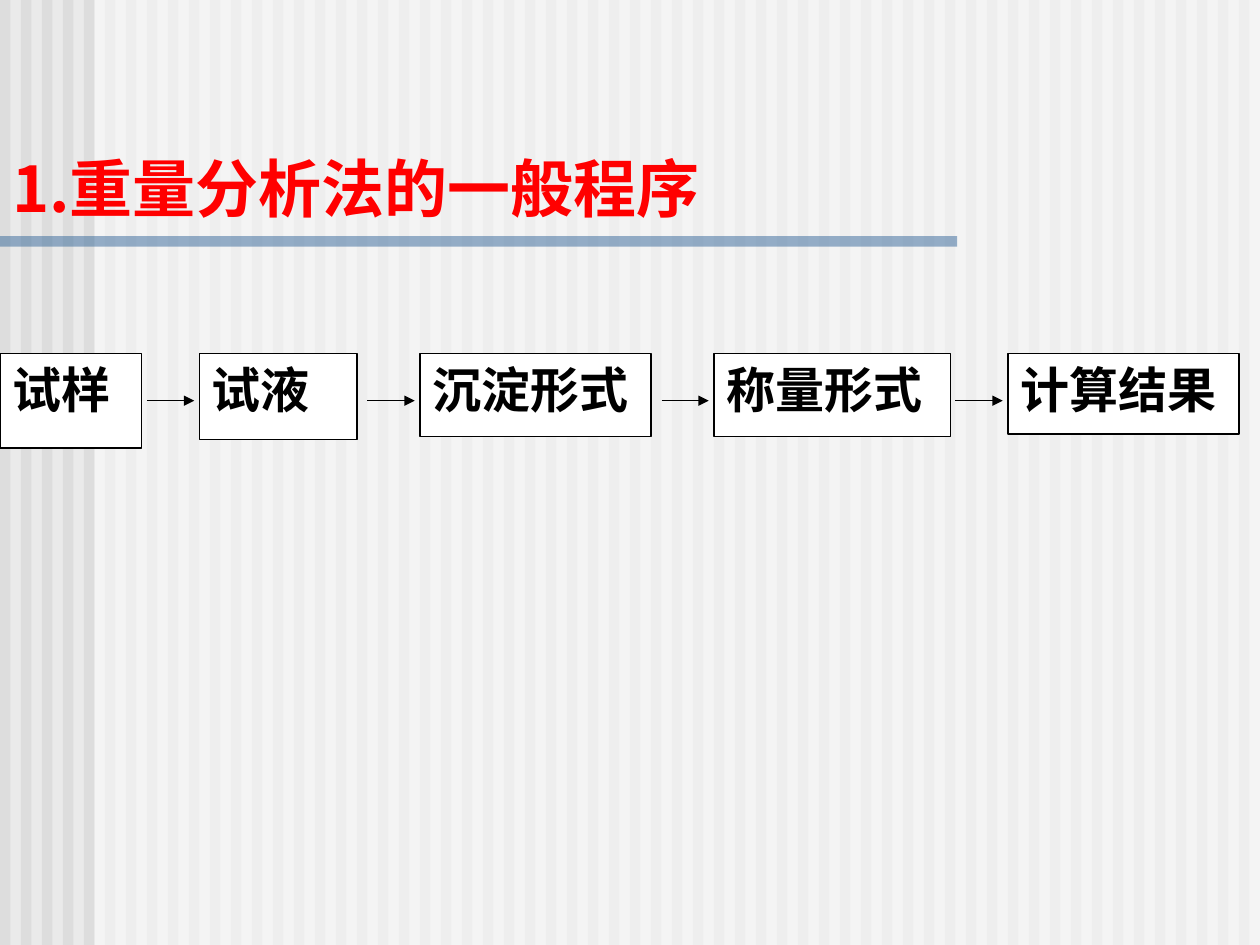
from lxml.etree import SubElement
from pptx import Presentation
from pptx.dml.color import RGBColor
from pptx.enum.shapes import MSO_CONNECTOR, MSO_SHAPE
from pptx.enum.text import MSO_ANCHOR, PP_ALIGN
from pptx.oxml.ns import qn
from pptx.util import Pt

WIDE, HIGH = 720, 540
CJK = "Noto Sans CJK SC"


def color(code):
    return RGBColor.from_string(code)


class Page:
    def __init__(self, deck, back):
        self.slide = deck.slides.add_slide(deck.slide_layouts[6])
        self.shapes = self.slide.shapes
        fill = self.slide.background.fill
        fill.solid()
        fill.fore_color.rgb = color(back)

    def rect(self, x, y, w, h, fill, line=None, alpha=None):
        shape = self.shapes.add_shape(
            MSO_SHAPE.RECTANGLE, Pt(x), Pt(y), Pt(w), Pt(h))
        shape.shadow.inherit = False
        shape.fill.solid()
        shape.fill.fore_color.rgb = color(fill)
        if line:
            shape.line.color.rgb = color(line)
            shape.line.width = Pt(0.75)
        else:
            shape.line.fill.background()
        if alpha:
            tone = shape._element.spPr.find(".//" + qn("a:srgbClr"))
            SubElement(tone, qn("a:alpha")).set("val", str(alpha * 1000))
        return shape

    def label(self, shape, text, size, font, tint, anchor, align):
        frame = shape.text_frame
        frame.word_wrap = True
        frame.vertical_anchor = anchor
        frame.text = text
        para = frame.paragraphs[0]
        para.alignment = align
        run = para.runs[0]
        run.font.size = Pt(size)
        run.font.bold = True
        run.font.name = font
        run.font.color.rgb = color(tint)
        SubElement(run.font._element, qn("a:ea")).set("typeface", CJK)

    def title(self, x, y, w, h, text):
        box = self.shapes.add_textbox(Pt(x), Pt(y), Pt(w), Pt(h))
        self.label(box, text, 36, CJK, "FF0000",
                   MSO_ANCHOR.BOTTOM, PP_ALIGN.LEFT)

    def step(self, x, y, w, h, text):
        box = self.rect(x, y, w, h, "FFFFFF", "000000")
        self.label(box, text, 28, "Times New Roman", "000000",
                   MSO_ANCHOR.TOP, PP_ALIGN.JUSTIFY)

    def arrow(self, x, y, w):
        line = self.shapes.add_connector(
            MSO_CONNECTOR.STRAIGHT, Pt(x), Pt(y), Pt(x + w), Pt(y))
        line.line.color.rgb = color("000000")
        line.line.width = Pt(0.75)
        SubElement(line.line._ln, qn("a:tailEnd")).set("type", "triangle")
        SubElement(line._element.spPr, qn("a:effectLst"))


def main():
    deck = Presentation()
    deck.slide_width, deck.slide_height = Pt(WIDE), Pt(HIGH)
    page = Page(deck, "EAEAEA")

    # Striped ground, paler right of the margin
    for x in range(0, WIDE, 12):
        page.rect(x, 0, 6, HIGH, "DDDDDD")
    page.rect(54, 0, WIDE - 54, HIGH, "FFFFFF", alpha=50)

    # Title and rule
    page.rect(0, 135, 547, 6, "336699", alpha=50)
    page.title(0, 72, 468, 60, "1.重量分析法的一般程序")

    # Steps of the procedure
    steps = [
        ("试样", 0, 81, 54),
        ("试液", 114, 90, 49),
        ("沉淀形式", 240, 132, 47.5),
        ("称量形式", 408, 135, 47.5),
        ("计算结果", 576, 132, 46),
    ]
    for text, x, w, h in steps:
        page.step(x, 202, w, h, text)

    # Each arrow ends just before the next step
    for text, x, w, h in steps[1:]:
        page.arrow(x - 30, 229, 27)

    deck.save("out.pptx")


if __name__ == "__main__":
    main()
